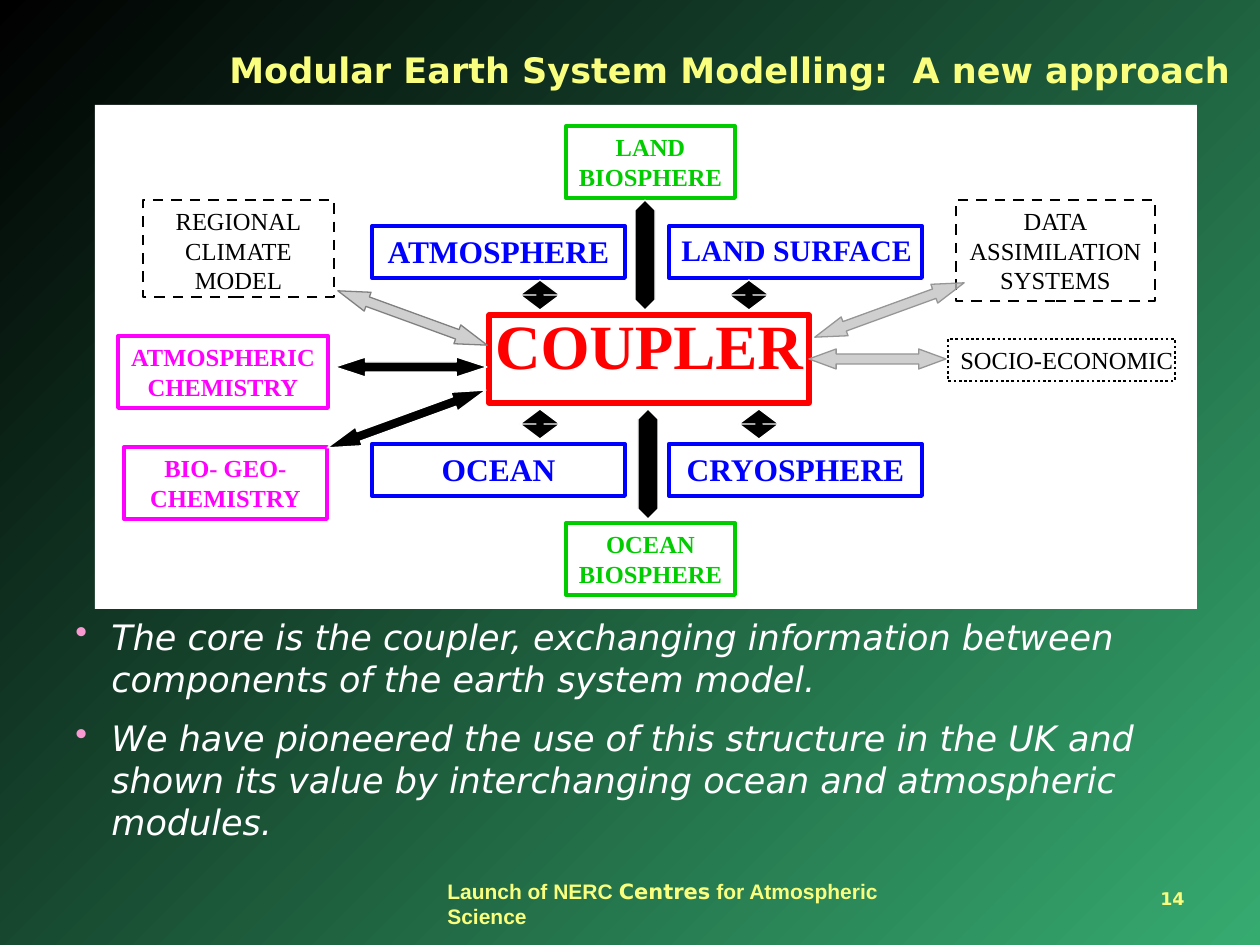
"""Build the slide on modular Earth system modelling."""
from lxml.etree import SubElement
from pptx import Presentation
from pptx.dml.color import RGBColor
from pptx.enum.dml import MSO_LINE as Dash
from pptx.enum.shapes import MSO_SHAPE as Kind
from pptx.enum.text import MSO_ANCHOR as Anchor, PP_ALIGN as Align
from pptx.oxml.ns import qn
from pptx.util import Emu, Pt

SCALE = 914400 / 126
BLACK = RGBColor(0x00, 0x00, 0x00)
WHITE = RGBColor(0xFF, 0xFF, 0xFF)
LEAF = RGBColor(0x36, 0xAB, 0x70)
CREAM = RGBColor(0xFA, 0xFE, 0x7E)
PINK = RGBColor(0xF8, 0x9A, 0xD1)
MAGENTA = RGBColor(0xFF, 0x00, 0xFF)
GREEN = RGBColor(0x00, 0xCC, 0x00)
BLUE = RGBColor(0x00, 0x00, 0xFF)
RED = RGBColor(0xFF, 0x00, 0x00)
SILVER = RGBColor(0xC0, 0xC0, 0xC0)
GREY = RGBColor(0x80, 0x80, 0x80)
PALE = RGBColor(0x96, 0x96, 0x96)
SANS, SERIF = "DejaVu Sans", "Times New Roman"


def px(*sizes):
    """Turn pixels into EMU."""
    return [Emu(round(size * SCALE)) for size in sizes]


def apply(item, values):
    """Set each value on the item."""
    for name, value in values.items():
        setattr(item, name, value)


def add_run(para, text, ink, **font):
    """Add one styled run to a paragraph."""
    run = para.add_run()
    run.text = text
    apply(run.font, font)
    run.font.color.rgb = ink


def write(shape, lines, ink, align=Align.CENTER, wrap=False, **font):
    """Write one paragraph per line and return the paragraphs."""
    frame = shape.text_frame
    apply(frame, {"word_wrap": wrap, "vertical_anchor": Anchor.TOP})
    for i, line in enumerate(lines):
        para = frame.add_paragraph() if i else frame.paragraphs[0]
        para.alignment = align
        add_run(para, line, ink, **font)
    return frame.paragraphs


def add_text(slide, area, lines, ink, **style):
    """Add a wrapping text box and return its paragraphs."""
    box = slide.shapes.add_textbox(*px(*area))
    return write(box, lines, ink, wrap=True, **style)


def add_box(slide, area, text, ink, size, width=2.25, dash=None, **style):
    """Add an outlined, labelled box and return its paragraphs."""
    box = slide.shapes.add_shape(Kind.RECTANGLE, *px(*area))
    box.shadow.inherit = False
    box.fill.background()
    box.line.color.rgb = ink
    apply(box.line, {"width": Pt(width), "dash_style": dash})
    font = {"name": SERIF, "size": Pt(size), "bold": dash is None}
    return write(box, text.split("\n"), ink, **font, **style)


def add_arrow(slide, area, head, turn=0, fill=BLACK, edge=WHITE, alpha=None):
    """Add a double arrow along the longer way of its link."""
    kind = Kind.LEFT_RIGHT_ARROW if area[2] > 60 else Kind.UP_DOWN_ARROW
    arrow = slide.shapes.add_shape(kind, *px(*area))
    arrow.shadow.inherit = False
    arrow.rotation = turn
    arrow.adjustments[0], arrow.adjustments[1] = 0.5, head
    arrow.fill.solid()
    arrow.fill.fore_color.rgb = fill
    arrow.line.color.rgb = edge
    arrow.line.width = Pt(0.75)
    if alpha:
        tint = arrow.fill._xPr.find(".//" + qn("a:srgbClr"))
        SubElement(tint, qn("a:alpha"), val=str(alpha * 1000))


def add_bullet(para, ink):
    """Give a paragraph a coloured bullet and a hanging indent."""
    props = para._p.get_or_add_pPr()
    indent = px(36)[0]
    props.set("marL", str(indent))
    props.set("indent", str(-indent))
    tint = SubElement(props, qn("a:buClr"))
    SubElement(tint, qn("a:srgbClr"), val=str(ink))
    SubElement(props, qn("a:buChar"), char="•")


def paint(slide):
    """Paint the gradient and the white panel."""
    fill = slide.background.fill
    fill.gradient()
    fill.gradient_angle = 135
    for stop, ink in zip(fill.gradient_stops, (LEAF, BLACK)):
        stop.color.rgb = ink
    panel = slide.shapes.add_shape(Kind.RECTANGLE, *px(95, 105, 1102, 504))
    panel.shadow.inherit = False
    panel.fill.solid()
    panel.fill.fore_color.rgb = WHITE
    panel.line.fill.background()


def add_links(slide):
    """Add the arrows between the coupler and the modules."""
    for x, y in (635, 200), (638, 409):
        add_arrow(slide, (x, y, 20, 110), 1.09)
    for x, y in (520, 409), (739, 409), (520, 280), (729, 280):
        add_arrow(slide, (x, y, 40, 30), 0.2)
    add_arrow(slide, (335, 357, 152, 20), 1.53)
    add_arrow(slide, (322, 409, 169, 20), 1.69, 340)
    soft = {"fill": SILVER, "alpha": 75}
    add_arrow(slide, (333, 308, 159, 20), 1.59, 20, edge=GREY, **soft)
    add_arrow(slide, (810, 300, 159, 20), 1.59, 340, edge=PALE, **soft)
    add_arrow(slide, (809, 349, 137, 20), 1.36, edge=PALE, **soft)


def add_parts(slide):
    """Add the coupler and the module boxes."""
    core = add_box(slide, (489, 315, 320, 88), "COUPLER", RED, 36, 3)
    core[0].line_spacing = 0.8
    for y, name in (126, "LAND"), (523, "OCEAN"):
        add_box(slide, (566, y, 169, 72), name + "\nBIOSPHERE", GREEN, 14)
    add_box(slide, (118, 336, 210, 72), "ATMOSPHERIC\nCHEMISTRY", MAGENTA, 14)
    add_box(slide, (124, 447, 203, 72), "BIO- GEO-\nCHEMISTRY", MAGENTA, 14)
    for x, y, name in ((372, 226, "ATMOSPHERE"), (372, 444, "OCEAN"),
                       (669, 444, "CRYOSPHERE")):
        add_box(slide, (x, y, 253, 52), name, BLUE, 18)
    add_box(slide, (669, 226, 253, 52), "LAND SURFACE", BLUE, 17,
            align=Align.LEFT)
    add_box(slide, (948, 339, 227, 42), "SOCIO-ECONOMIC", BLACK, 14, 1.5,
            Dash.ROUND_DOT, align=Align.LEFT)
    for area, name in (((956, 200, 199, 101), "DATA\nASSIMILATION\nSYSTEMS"),
                       ((143, 200, 191, 97), "REGIONAL\nCLIMATE\nMODEL")):
        add_box(slide, area, name, BLACK, 14, 1.5, Dash.DASH)


def add_notes(slide):
    """Add the title, the bullets and the footer."""
    add_text(slide, (116, 42, 1228, 55),
             ["Modular Earth System Modelling:  A new approach"], CREAM,
             name=SANS, size=Pt(20), bold=True)
    points = add_text(slide, (63, 609, 1166, 242), [
        "The core is the coupler, exchanging information between "
        "components of the earth system model.",
        "We have pioneered the use of this structure in the UK and shown "
        "its value by interchanging ocean and atmospheric modules.",
    ], WHITE, align=Align.LEFT, name=SANS, size=Pt(20), italic=True)
    for para in points:
        add_bullet(para, PINK)
    points[1].space_before = Pt(10)
    small = {"size": Pt(12), "bold": True}
    foot = add_text(slide, (435, 872, 530, 38), ["Launch of NERC "], CREAM,
                    align=Align.LEFT, name="Arial", **small)[0]
    add_run(foot, "Centres", CREAM, name=SANS, **small)
    add_run(foot, " for Atmospheric Science", CREAM, name="Arial", **small)
    add_text(slide, (1148, 882, 112, 37), ["14"], CREAM, align=Align.LEFT,
             name=SANS, size=Pt(10), bold=True)


def main():
    """Build and save the deck."""
    deck = Presentation()
    wide, high = px(1260, 945)
    apply(deck, {"slide_width": wide, "slide_height": high})
    slide = deck.slides.add_slide(deck.slide_layouts[6])
    paint(slide)
    add_parts(slide)
    add_links(slide)
    add_notes(slide)
    deck.save("out.pptx")


if __name__ == "__main__":
    main()
